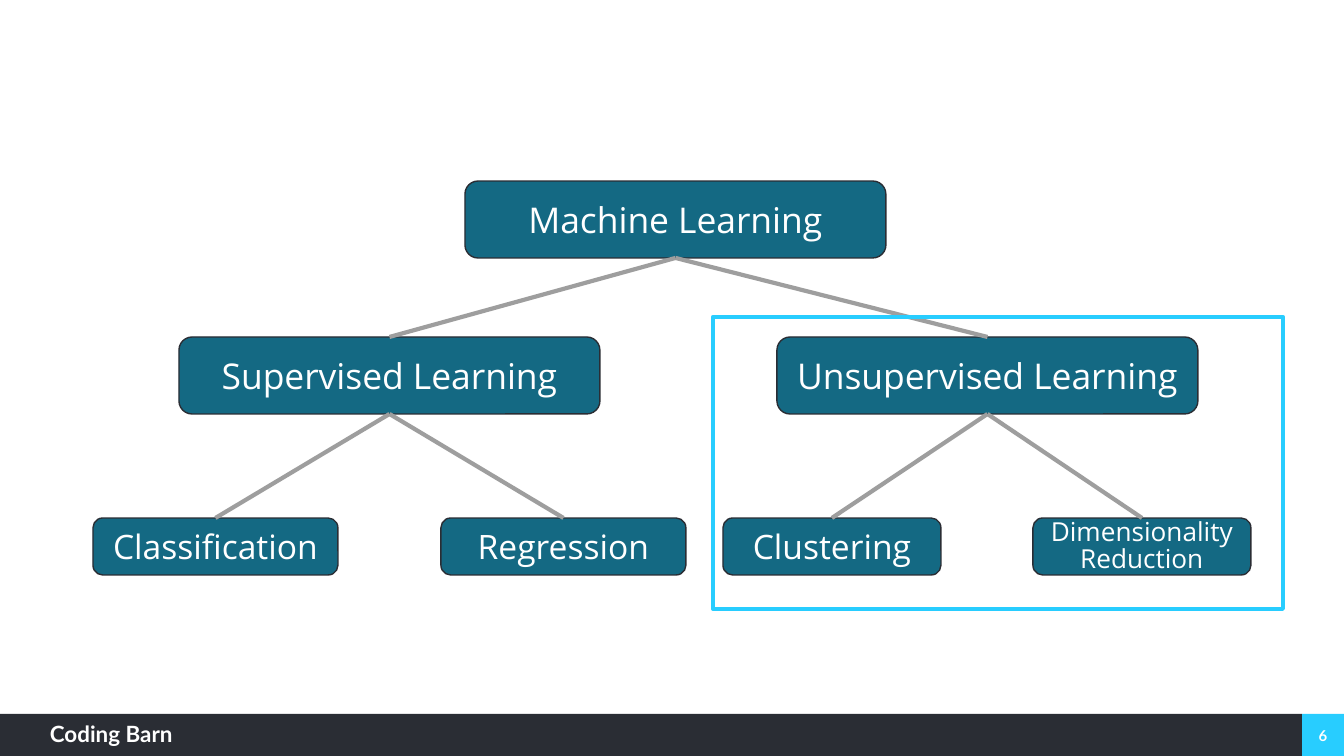
from lxml import etree
from pptx import Presentation
from pptx.dml.color import RGBColor
from pptx.enum.shapes import MSO_CONNECTOR, MSO_SHAPE
from pptx.enum.text import MSO_ANCHOR, PP_ALIGN
from pptx.oxml.ns import qn
from pptx.util import Pt

RECT, ROUND = MSO_SHAPE.RECTANGLE, MSO_SHAPE.ROUNDED_RECTANGLE
STRAIGHT = MSO_CONNECTOR.STRAIGHT
TOP, MIDDLE = MSO_ANCHOR.TOP, MSO_ANCHOR.MIDDLE
LEFT, CENTER = PP_ALIGN.LEFT, PP_ALIGN.CENTER
PX = 914400 / 134.4
COLORS = {"teal": "146983", "dark": "2A2D34", "cyan": "28CDFF",
          "gray": "9E9E9E", "white": "FFFFFF"}


def add_box(kind, box, fill=None, line=None, width=0.75):
    sp = s.shapes.add_shape(kind, *[round(v * PX) for v in box])
    sp.shadow.inherit = False
    if fill:
        sp.fill.solid()
        sp.fill.fore_color.rgb = RGBColor.from_string(COLORS[fill])
    else:
        sp.fill.background()
    if line:
        sp.line.color.rgb = RGBColor.from_string(COLORS[line])
        sp.line.width = Pt(width)
    else:
        sp.line.fill.background()
    return sp


def set_text(sp, text, size, font, bold, align, anchor, inset):
    tf = sp.text_frame
    tf.text = text
    tf.word_wrap = True
    tf.vertical_anchor = anchor
    tf.margin_left = tf.margin_right = round(inset * PX)
    tf.margin_top = tf.margin_bottom = round(inset * PX)
    p = tf.paragraphs[0]
    p.alignment = align
    r = p.runs[0]
    r.font.size = Pt(size)
    r.font.name = font
    r.font.bold = bold
    r.font.color.rgb = RGBColor.from_string(COLORS["white"])


prs = Presentation()
prs.slide_width, prs.slide_height = round(1344 * PX), round(756 * PX)
s = prs.slides.add_slide(prs.slide_layouts[6])

add_box(RECT, (1302, 714, 42, 42), "cyan")
add_box(RECT, (0, 714, 1302, 42), "dark")
footer_texts = [
    ("Coding Barn", (50, 720, 211, 31), 12, LEFT, TOP, 0),
    ("6", (1303, 716, 40, 40), 8, CENTER, MIDDLE, 5),
]
for text, box, size, align, anchor, inset in footer_texts:
    sp = s.shapes.add_textbox(*[round(v * PX) for v in box])
    set_text(sp, text, size, "Lato", True, align, anchor, inset)

levels = [
    (181, 77, 19, [("Machine Learning", 465, 421)]),
    (337, 77, 19, [("Supervised Learning", 179, 421),
                   ("Unsupervised Learning", 777, 421)]),
    (518, 57, 18, [("Classification", 93, 245), ("Regression", 441, 245),
                   ("Clustering", 723, 218),
                   ("Dimensionality Reduction", 1033, 218)]),
]
nodes = {}
for top, height, size, row in levels:
    for text, left, width in row:
        sp = add_box(ROUND, (left, top, width, height), "teal", "dark")
        sp.adjustments[0] = 0.17
        set_text(sp, text, size, "Open Sans", False, CENTER, MIDDLE, 13)
        nodes[text] = sp

p = nodes["Dimensionality Reduction"].text_frame.paragraphs[0]
p.line_spacing = 0.87
p.runs[0].font.size = Pt(14)

branches = {
    "Machine Learning": ["Supervised Learning", "Unsupervised Learning"],
    "Supervised Learning": ["Classification", "Regression"],
    "Unsupervised Learning": ["Clustering", "Dimensionality Reduction"],
}
for parent, children in branches.items():
    for child in children:
        line = s.shapes.add_connector(STRAIGHT, 0, 0, 0, 0)
        line.begin_connect(nodes[parent], 2)
        line.end_connect(nodes[child], 0)
        line.line.color.rgb = RGBColor.from_string(COLORS["gray"])
        line.line.width = Pt(2.25)
        etree.SubElement(line._element.spPr, qn("a:effectLst"))

add_box(RECT, (713, 317, 570, 292), line="cyan", width=2.25)

prs.save("out.pptx")
